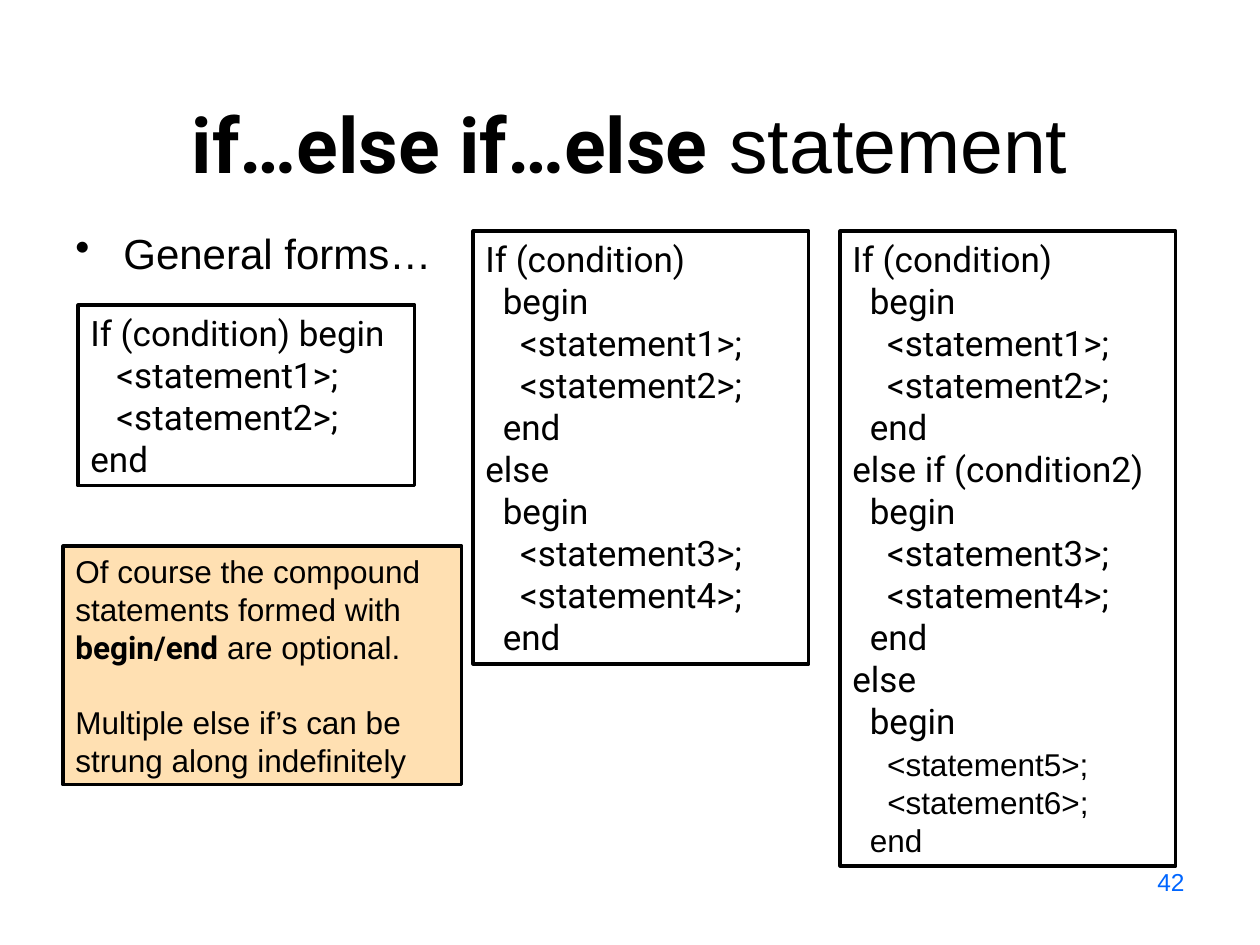
import dataclasses
import typing

import lxml.etree
import pptx
import pptx.dml.color
import pptx.enum.shapes
import pptx.enum.text
import pptx.oxml
import pptx.oxml.ns
import pptx.util

EMU_PER_PX = 914400 / 126
LINE_HEIGHT = 1.2
COLOURS = {"ink": "000000", "number": "0066FF", "note": "FF9900"}
ALIGN = pptx.enum.text.PP_ALIGN
ANCHOR = pptx.enum.text.MSO_ANCHOR

FORMATS = {
    "title_code": {"size": 44, "name": "Roboto", "bold": True},
    "title": {"size": 44, "name": "Arial", "bold": False},
    "heading": {"size": 24, "name": "Arial", "bold": False},
    "code": {"size": 20, "name": "Roboto", "bold": False},
    "small_code": {"size": 18, "name": "Arial", "bold": False},
    "note": {"size": 18, "name": "Arial", "bold": False},
    "note_code": {"size": 18, "name": "Roboto", "bold": True},
    "number": {"size": 14, "name": "Arial", "bold": False},
}


class Span(typing.NamedTuple):
    text: str
    style: str


Lines = list[list[Span]]


@dataclasses.dataclass
class Block:
    left: int
    top: int
    width: int
    height: int
    lines: Lines
    framed: bool = False
    fill: str = ""
    colour: str = "ink"
    align: ALIGN = ALIGN.LEFT
    anchor: ANCHOR = ANCHOR.TOP
    bullet: bool = False
    gap: float = 0


def px(length: int) -> int:
    return round(length * EMU_PER_PX)


def rgb(name: str) -> pptx.dml.color.RGBColor:
    return pptx.dml.color.RGBColor.from_string(COLOURS[name])


def code(text: str, style: str = "code") -> Lines:
    return [[Span(line, style)] for line in text.split("\n")]


def branch(first: int) -> str:
    return f"  begin\n    <statement{first}>;\n    <statement{first + 1}>;\n  end"


def add_bullet(para) -> None:
    properties = para._p.get_or_add_pPr()
    properties.set("marL", str(px(48)))
    properties.set("indent", str(px(-48)))
    bullet = lxml.etree.SubElement(properties, pptx.oxml.ns.qn("a:buChar"))
    bullet.set("char", "•")


def style_box(box, block: Block) -> None:
    box.shadow.inherit = False
    box.line.color.rgb = rgb("ink")
    box.line.width = pptx.util.Pt(1.75)
    if not block.fill:
        box.fill.background()
        return
    box.fill.solid()
    box.fill.fore_color.rgb = rgb(block.fill)
    colour = box.fill._xPr.find(".//" + pptx.oxml.ns.qn("a:srgbClr"))
    alpha = lxml.etree.SubElement(colour, pptx.oxml.ns.qn("a:alpha"))
    alpha.set("val", "30000")


def write_span(para, span: Span, colour: str) -> None:
    run = para.add_run()
    run.text = span.text
    for attribute, value in FORMATS[span.style].items():
        setattr(run.font, attribute, pptx.util.Pt(value) if attribute == "size" else value)
    run.font.color.rgb = rgb(colour)


def draw_block(page, block: Block) -> None:
    place = [px(n) for n in (block.left, block.top, block.width, block.height)]
    if block.framed:
        box = page.shapes.add_shape(pptx.enum.shapes.MSO_SHAPE.RECTANGLE, *place)
        style_box(box, block)
    else:
        box = page.shapes.add_textbox(*place)
    frame = box.text_frame
    frame.word_wrap = True
    frame.vertical_anchor = block.anchor
    for index, line in enumerate(block.lines):
        para = frame.add_paragraph() if index else frame.paragraphs[0]
        if block.bullet:
            add_bullet(para)
        size = max(FORMATS[span.style]["size"] for span in line)
        para.line_spacing = pptx.util.Pt(size * LINE_HEIGHT)
        para.alignment = block.align
        if index and block.gap:
            para.space_before = pptx.util.Pt(block.gap)
        for span in line:
            write_span(para, span, block.colour)


SIMPLE_IF = code("If (condition) begin\n   <statement1>;\n   <statement2>;\nend")
IF_ELSE = code(f"If (condition)\n{branch(1)}\nelse\n{branch(3)}")
ELSE_IF = code(f"If (condition)\n{branch(1)}\nelse if (condition2)\n{branch(3)}\nelse\n  begin")
LAST_BRANCH = [
    [Span("    ", "code"), Span("<statement5>;", "small_code")],
    *code("    <statement6>;\n  end", "small_code"),
]
NOTE = [
    [
        Span("Of course the compound statements formed with ", "note"),
        Span("begin/end", "note_code"),
        Span(" are optional.", "note"),
    ],
    [Span("Multiple else if’s can be strung along indefinitely", "note")],
]
TITLE = [[Span("if…else if…else", "title_code"), Span(" statement", "title")]]

BLOCKS = [
    Block(63, 38, 1134, 157, TITLE, align=ALIGN.CENTER, anchor=ANCHOR.BOTTOM),
    Block(63, 221, 1134, 73, [[Span("General forms…", "heading")]], bullet=True),
    Block(78, 305, 337, 181, SIMPLE_IF, framed=True),
    Block(473, 231, 336, 433, IF_ELSE, framed=True),
    Block(840, 231, 336, 635, ELSE_IF + LAST_BRANCH, framed=True),
    Block(63, 546, 399, 239, NOTE, framed=True, fill="note", gap=21.6),
    Block(903, 861, 294, 65, [[Span("42", "number")]], colour="number", align=ALIGN.RIGHT),
]


def main() -> None:
    deck = pptx.Presentation()
    deck.slide_width, deck.slide_height = px(1260), px(945)
    page = deck.slides.add_slide(deck.slide_layouts[6])
    for block in BLOCKS:
        draw_block(page, block)
    deck.save("out.pptx")


if __name__ == "__main__":
    main()
